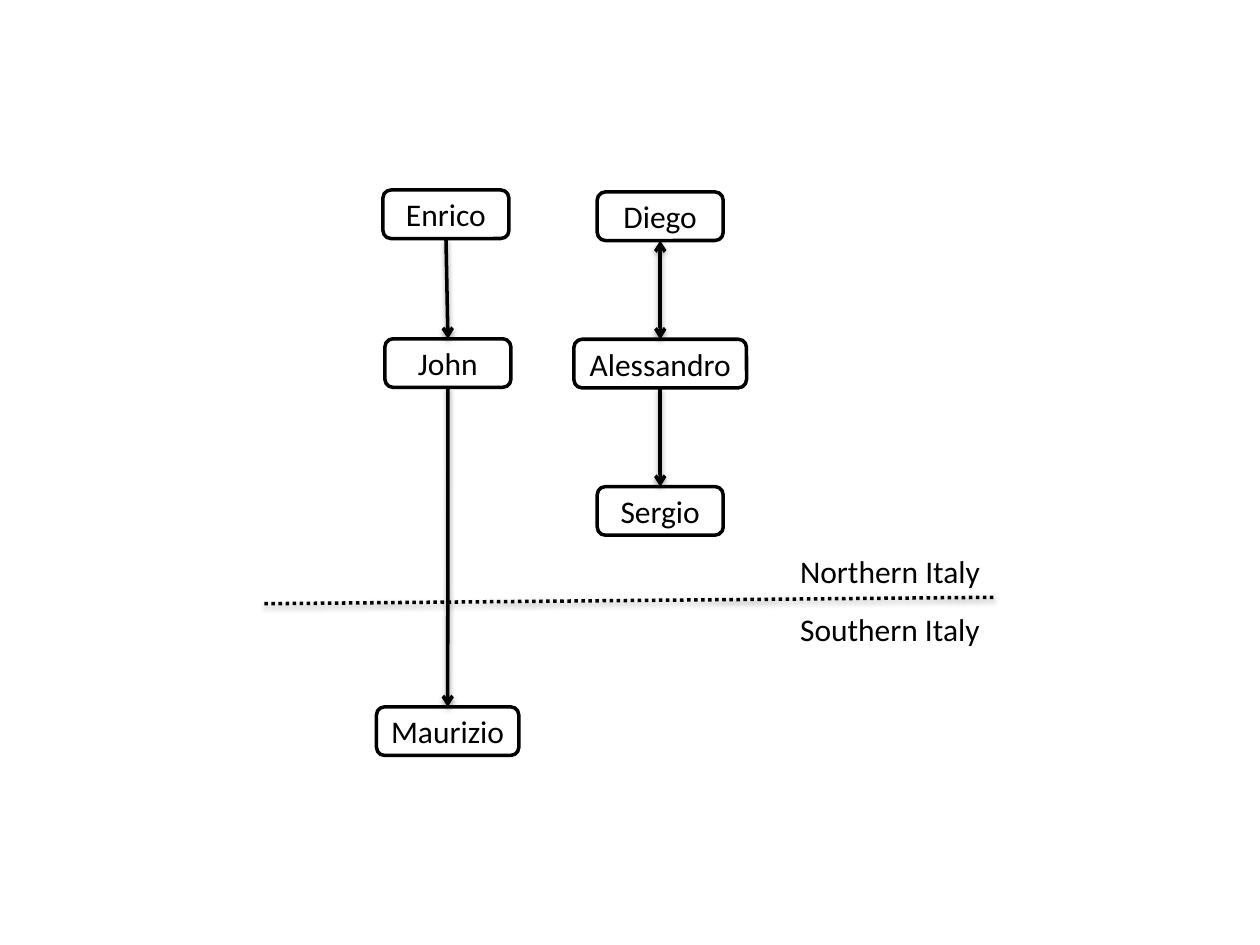
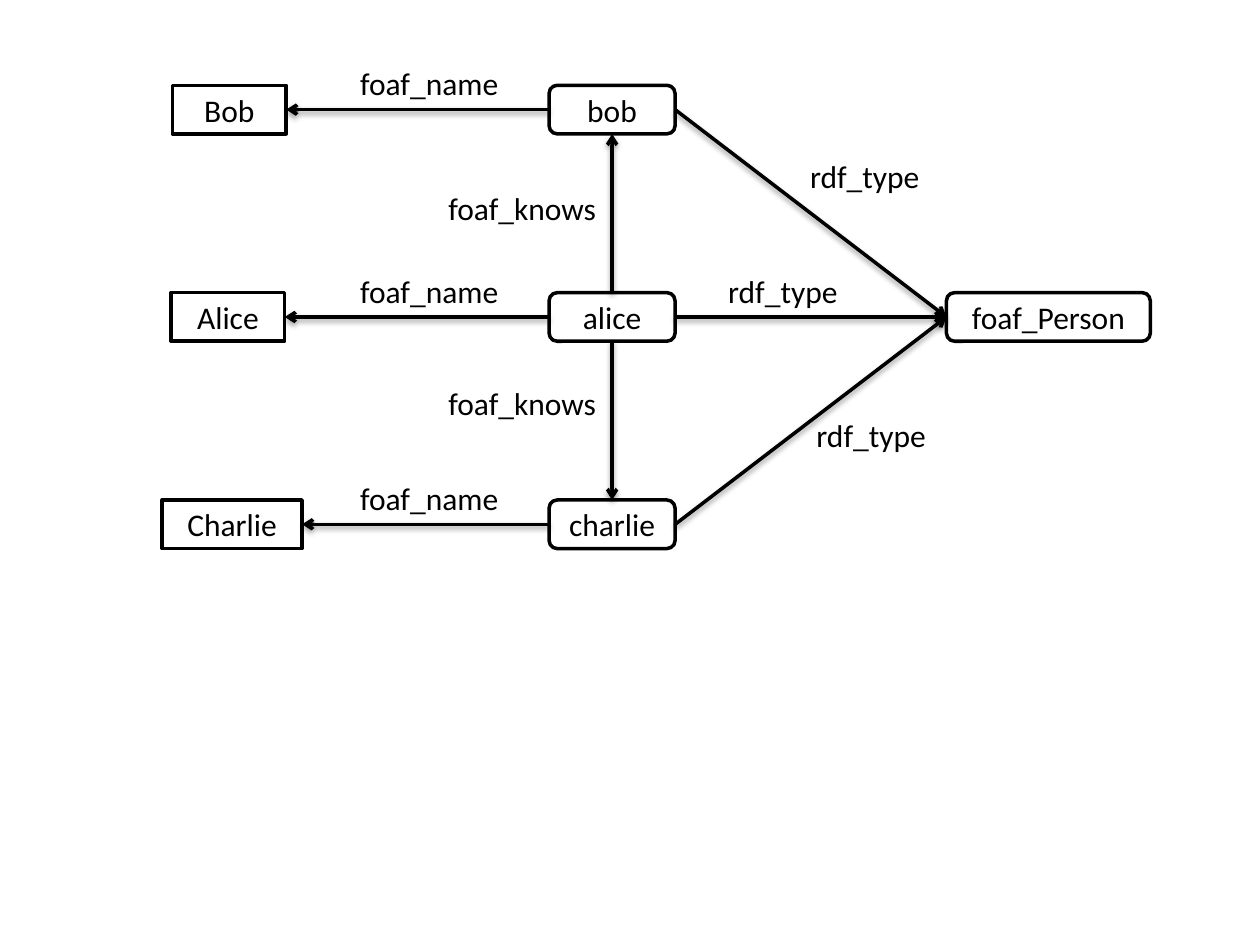
from itertools import pairwise

from lxml import etree
from pptx import Presentation
from pptx.dml.color import RGBColor
from pptx.enum.dml import MSO_LINE
from pptx.enum.shapes import MSO_CONNECTOR, MSO_SHAPE
from pptx.enum.text import MSO_ANCHOR, MSO_AUTO_SIZE, PP_ALIGN
from pptx.oxml.ns import qn
from pptx.util import Cm, Pt

ROUNDED, SQUARE = MSO_SHAPE.ROUNDED_RECTANGLE, MSO_SHAPE.RECTANGLE
STRAIGHT = MSO_CONNECTOR.STRAIGHT
DOTTED = MSO_LINE.ROUND_DOT
CENTER, MIDDLE = PP_ALIGN.CENTER, MSO_ANCHOR.MIDDLE
GROW = MSO_AUTO_SIZE.SHAPE_TO_FIT_TEXT
TOP, LEFT, BOTTOM, RIGHT = range(4)  # connection sites of a node

INK, PAPER = "000000", "FFFFFF"
FONT, TEXT_SIZE, LINE_WIDTH = "Calibri", Pt(18), Pt(2)
NODE_WIDTH, NODE_HEIGHT, LABEL_HEIGHT = 2.54, 0.98, 1.02


def color(value):
    """Turn a hex string into a colour."""
    return RGBColor.from_string(value)


def write(frame, text):
    """Set one unwrapped line of text in the shared style."""
    frame.text = text
    frame.word_wrap = False
    font = frame.paragraphs[0].runs[0].font
    font.name, font.size = FONT, TEXT_SIZE
    font.color.rgb = color(INK)


def add_node(slide, text, left, top, width=NODE_WIDTH, outline=ROUNDED):
    """Draw an outlined box with centred text."""
    node = slide.shapes.add_shape(
        outline, Cm(left), Cm(top), Cm(width), Cm(NODE_HEIGHT))
    node.shadow.inherit = False
    node.fill.solid()
    node.fill.fore_color.rgb = color(PAPER)
    node.line.color.rgb = color(INK)
    node.line.width = LINE_WIDTH
    write(node.text_frame, text)
    node.text_frame.vertical_anchor = MIDDLE
    node.text_frame.paragraphs[0].alignment = CENTER
    return node


def add_label(slide, text, left, top, width):
    """Place a one-line label without a box."""
    label = slide.shapes.add_textbox(
        Cm(left), Cm(top), Cm(width), Cm(LABEL_HEIGHT))
    write(label.text_frame, text)
    label.text_frame.auto_size = GROW


def add_line(slide, left=0, top=0, right=0, bottom=0):
    """Draw a black line with a soft shadow below it."""
    line = slide.shapes.add_connector(
        STRAIGHT, Cm(left), Cm(top), Cm(right), Cm(bottom))
    line.line.color.rgb = color(INK)
    line.line.width = LINE_WIDTH
    effects = etree.SubElement(line._element.spPr, qn("a:effectLst"))
    shadow = etree.SubElement(effects, qn("a:outerShdw"), blurRad="40000",
                              dist="20000", dir="5400000", rotWithShape="0")
    tint = etree.SubElement(shadow, qn("a:srgbClr"), val=INK)
    etree.SubElement(tint, qn("a:alpha"), val="38000")
    return line


def add_arrow(slide, source, source_site, target, target_site, mutual=False):
    """Join two nodes with an arrow, two-headed if mutual."""
    arrow = add_line(slide)
    arrow.begin_connect(source, source_site)
    arrow.end_connect(target, target_site)
    ends = ("headEnd", "tailEnd") if mutual else ("tailEnd",)
    for end in ends:
        etree.SubElement(arrow.line._get_or_add_ln(), qn("a:" + end),
                         type="arrow")


def add_chain(slide, left, top, people, mutual_first=False):
    """Stack people (name, indent, offset, width), each linked to the next."""
    nodes = [add_node(slide, name, left + indent, top + offset, width)
             for name, indent, offset, width in people]
    for index, (upper, lower) in enumerate(pairwise(nodes)):
        add_arrow(slide, upper, BOTTOM, lower, TOP,
                  mutual=mutual_first and index == 0)


def add_border(slide, left, top, width):
    """Draw the dotted border with a region name on either side."""
    border = add_line(slide, left, top, left + width, top - 0.13)
    border.line.dash_style = DOTTED
    for region, offset in (("Northern Italy", -1.17), ("Southern Italy", 0)):
        add_label(slide, region, left + 10.55, top + offset, 4.19)


def add_named_resource(slide, resource, name, left, top, name_left, name_width):
    """Draw a resource with an arrow to its literal name on the left."""
    node = add_node(slide, resource, left, top)
    literal = add_node(slide, name, name_left, top, name_width, SQUARE)
    add_arrow(slide, node, LEFT, literal, RIGHT)
    add_label(slide, "foaf_name", left - 4.06, top - 0.55, 3.35)
    return node


def build_regions(slide):
    """Slide of two chains of people and the border between regions."""
    add_chain(slide, 7.59, 3.83, (
        ("Enrico", 0.13, 0, NODE_WIDTH),
        ("John", 0.17, 3, NODE_WIDTH),
        ("Maurizio", 0, 10.42, 2.87)))
    add_chain(slide, 11.57, 3.87, (
        ("Diego", 0.47, 0, NODE_WIDTH),
        ("Alessandro", 0, 2.97, 3.48),
        ("Sergio", 0.47, 5.94, NODE_WIDTH)), mutual_first=True)
    add_border(slide, 5.33, 12.17, 14.74)


def build_graph(slide, left=11.07, top=1.72, pitch=4.18):
    """Slide of three resources with their names, links and type."""
    rows = (("bob", "Bob", 3.48, 2.29),
            ("alice", "Alice", 3.45, 2.29),
            ("charlie", "Charlie", 3.27, 2.82))
    bob, alice, charlie = [
        add_named_resource(slide, resource, name, left, top + row * pitch,
                           name_left, name_width)
        for row, (resource, name, name_left, name_width) in enumerate(rows)]
    person = add_node(slide, "foaf_Person", left + 8.01, top + pitch, 4.11)

    for resource, label_left, label_top in (
            (bob, 5.01, 1.33), (alice, 3.36, 3.64), (charlie, 5.14, 6.54)):
        add_arrow(slide, resource, RIGHT, person, LEFT)
        add_label(slide, "rdf_type", left + label_left, top + label_top, 2.74)

    add_arrow(slide, alice, TOP, bob, BOTTOM)
    add_arrow(slide, alice, BOTTOM, charlie, TOP)
    for label_top in (1.96, 5.9):
        add_label(slide, "foaf_knows", left - 2.28, top + label_top, 3.56)


deck = Presentation()
deck.slide_width, deck.slide_height = Cm(25.4), Cm(19.05)
blank = deck.slide_layouts[6]
for build in (build_regions, build_graph):
    build(deck.slides.add_slide(blank))
deck.save("out.pptx")
